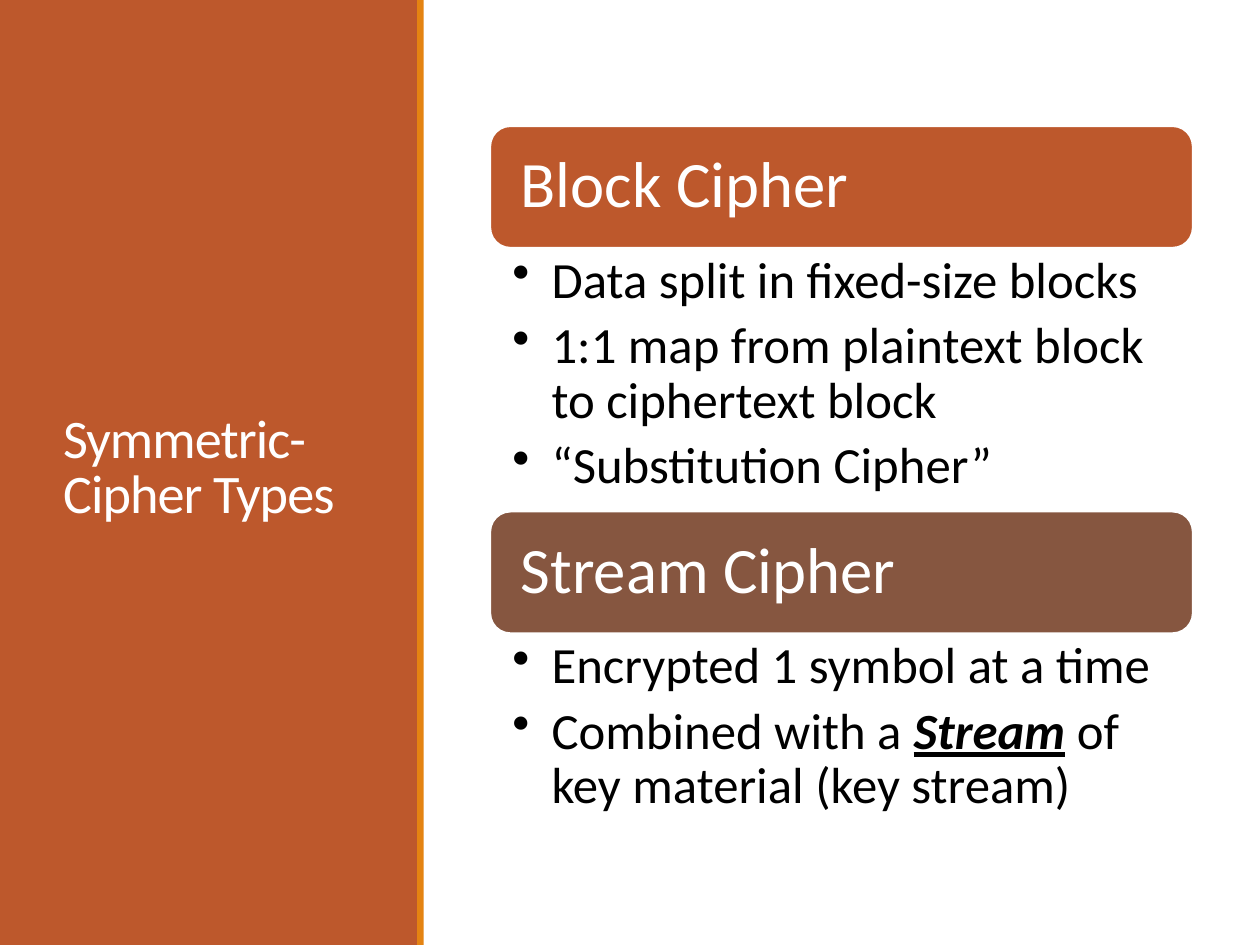
from lxml import etree
from pptx import Presentation
from pptx.dml.color import RGBColor
from pptx.enum.shapes import MSO_SHAPE
from pptx.enum.text import MSO_ANCHOR, MSO_AUTO_SIZE, PP_ALIGN
from pptx.oxml.ns import qn
from pptx.util import Cm, Pt

RECTANGLE = MSO_SHAPE.RECTANGLE
ROUNDED = MSO_SHAPE.ROUNDED_RECTANGLE
TOP, MIDDLE = MSO_ANCHOR.TOP, MSO_ANCHOR.MIDDLE
LEFT = PP_ALIGN.LEFT
NO_FIT = MSO_AUTO_SIZE.NONE

RUST, ORANGE, BROWN = "BD582C", "E48312", "865640"
WHITE, BLACK = "FFFFFF", "000000"
PAGE_HEIGHT = 19.05
COLUMN_LEFT, COLUMN_WIDTH = 9.88, 14.17
FIRST_TOP, HEADING_HEIGHT = 2.54, 2.46
EMPHASIS = {"bold": True, "italic": True, "underline": True}

SECTIONS = [
    ("Block Cipher", RUST, 5.31, [
        [("Data split in fixed-size blocks", {})],
        [("1:1 map from plaintext block to ciphertext block", {})],
        [("“Substitution Cipher”", {})],
    ]),
    ("Stream Cipher", BROWN, 3.94, [
        [("Encrypted 1 symbol at a time", {})],
        [("Combined with a ", {}), ("Stream", EMPHASIS),
         (" of key material (key stream)", {})],
    ]),
]


def colour(value):
    """Turn a hex string into a colour."""
    return RGBColor.from_string(value)


def apply_format(target, values):
    """Set every attribute named in a dict on the target."""
    for name, value in values.items():
        setattr(target, name, value)


def add_block(page, kind, bounds, fill, outline=None):
    """Add a filled preset shape, outlined only on request."""
    block = page.shapes.add_shape(kind, *map(Cm, bounds))
    block.shadow.inherit = False
    block.fill.solid()
    block.fill.fore_color.rgb = colour(fill)
    if outline:
        block.line.color.rgb = colour(outline)
        block.line.width = Pt(1.25)
    else:
        block.line.fill.background()
    return block


def set_frame(frame, anchor, insets):
    """Wrap the text and set its anchor and left, top, right, bottom insets."""
    sides = ("margin_left", "margin_top", "margin_right", "margin_bottom")
    apply_format(frame, {"word_wrap": True, "auto_size": NO_FIT,
                         "vertical_anchor": anchor,
                         **dict(zip(sides, map(Cm, insets)))})


def write_para(para, spans, size, ink, spacing, after=0):
    """Write formatted spans into a paragraph."""
    apply_format(para, {"alignment": LEFT, "line_spacing": spacing,
                        "space_before": Pt(0), "space_after": Pt(after)})
    for text, extra in spans:
        span = para.add_run()
        span.text = text
        apply_format(span.font, {"name": "Calibri", "size": Pt(size), **extra})
        span.font.color.rgb = colour(ink)


def add_bullet(para):
    """Give a paragraph a hanging round bullet."""
    properties = para._p.get_or_add_pPr()
    properties.set("marL", str(Cm(0.79)))
    properties.set("indent", str(-Cm(0.79)))
    etree.SubElement(properties, qn("a:buChar")).set("char", "•")


def add_title(page):
    """Place the white title over the coloured side panel."""
    title = page.shapes.title
    for bounds, fill in (((0, 0, 8.43, PAGE_HEIGHT), RUST),
                         ((8.41, 0, 0.13, PAGE_HEIGHT), ORANGE)):
        panel = add_block(page, RECTANGLE, bounds, fill)
        title.element.addprevious(panel.element)
    apply_format(title, {"left": Cm(1.02), "top": Cm(1.45),
                         "width": Cm(6.43), "height": Cm(16.03)})
    set_frame(title.text_frame, MIDDLE, (0.25, 0.13, 0.25, 0.13))
    para = title.text_frame.paragraphs[0]
    write_para(para, [("Symmetric-Cipher Types", {})], 31, WHITE, 0.85)
    para.runs[0]._r.get_or_add_rPr().set("spc", "-50")


def add_heading(page, top, text, fill):
    """Add a rounded section heading."""
    bounds = (COLUMN_LEFT, top, COLUMN_WIDTH, HEADING_HEIGHT)
    heading = add_block(page, ROUNDED, bounds, fill, WHITE)
    set_frame(heading.text_frame, MIDDLE, (0.5, 0.5, 0.5, 0.5))
    write_para(heading.text_frame.paragraphs[0], [(text, {})], 37, WHITE, 0.9)


def add_bullets(page, top, height, items):
    """Add the bulleted text below a heading."""
    box = page.shapes.add_textbox(
        *map(Cm, (COLUMN_LEFT, top, COLUMN_WIDTH, height)))
    frame = box.text_frame
    set_frame(frame, TOP, (0.45, 0.13, 0.73, 0.13))
    for index, spans in enumerate(items):
        para = frame.add_paragraph() if index else frame.paragraphs[0]
        para.level = 1
        write_para(para, spans, 29, BLACK, 0.9, after=6)
        add_bullet(para)


def main():
    """Build and save the deck."""
    deck = Presentation()
    deck.slide_width, deck.slide_height = Cm(25.4), Cm(PAGE_HEIGHT)
    page = deck.slides.add_slide(deck.slide_layouts.get_by_name("Title Only"))
    add_title(page)
    top = FIRST_TOP
    for heading, fill, height, items in SECTIONS:
        add_heading(page, top, heading, fill)
        add_bullets(page, top + HEADING_HEIGHT, height, items)
        top += HEADING_HEIGHT + height
    deck.save("out.pptx")


if __name__ == "__main__":
    main()
